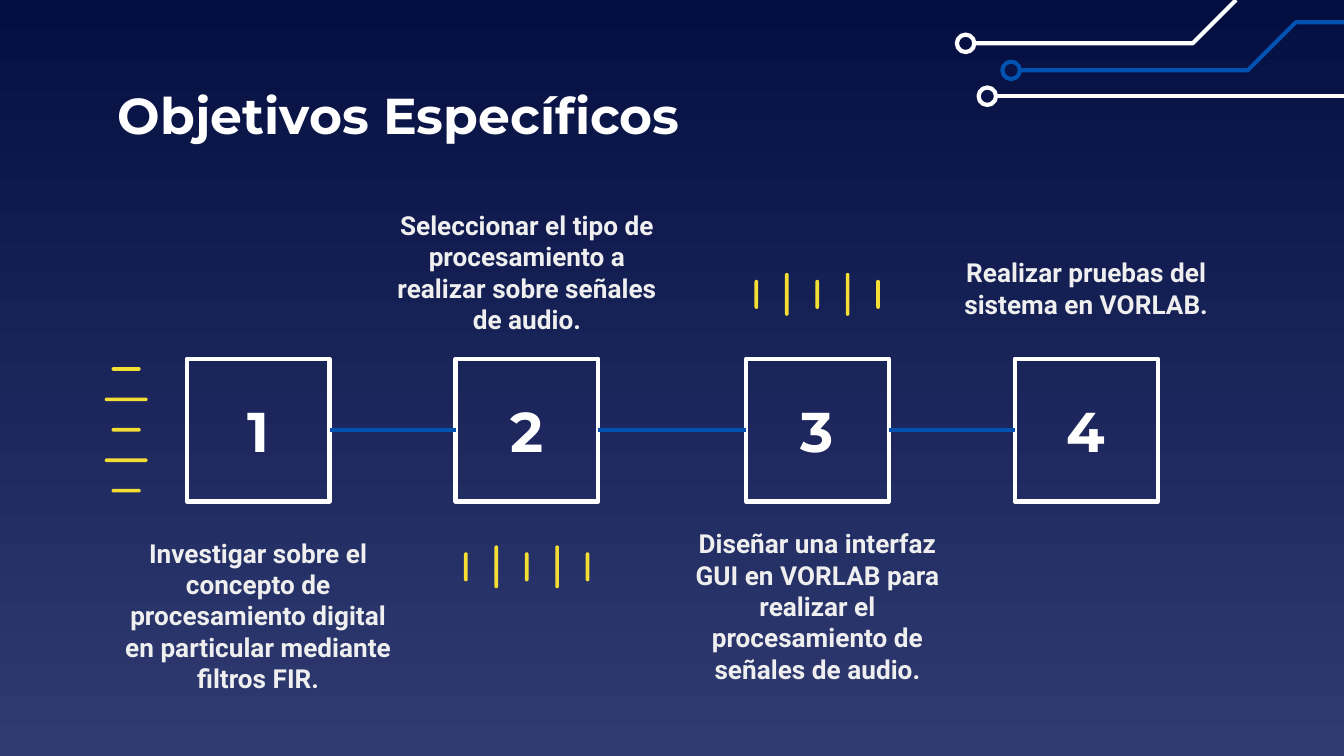
from dataclasses import dataclass
from itertools import pairwise

from lxml.etree import SubElement
from pptx import Presentation
from pptx.dml.color import RGBColor
from pptx.enum.shapes import MSO_CONNECTOR as Connector, MSO_SHAPE as Shape
from pptx.enum.text import MSO_ANCHOR as Anchor, MSO_AUTO_SIZE as AutoSize, PP_ALIGN as Align
from pptx.oxml.ns import qn
from pptx.util import Cm, Pt


@dataclass(frozen=True)
class Theme:
    sky: RGBColor = RGBColor.from_string("040E41")
    ground: RGBColor = RGBColor.from_string("303B72")
    white: RGBColor = RGBColor.from_string("FFFFFF")
    blue: RGBColor = RGBColor.from_string("0152B1")
    yellow: RGBColor = RGBColor.from_string("F5DE34")
    caption: RGBColor = RGBColor.from_string("EFEFEF")
    heading_font: str = "Montserrat"
    body_font: str = "Roboto"
    title_size: Pt = Pt(27)
    number_size: Pt = Pt(30)
    caption_size: Pt = Pt(14)
    stroke: Pt = Pt(2.25)


THEME = Theme()
BOX_SIDE, BOX_TOP = 2.7, 6.78
CAPTION_WIDTH = 5.56

# Box left, caption top, caption height, caption
STEPS = [
    (3.53, 9.68, 3.91, "Investigar sobre el concepto de procesamiento digital "
                       "en particular mediante filtros FIR."),
    (8.61, 4.04, 2.21, "Seleccionar el tipo de procesamiento a realizar sobre "
                       "señales de audio."),
    (14.1, 10.11, 2.69, "Diseñar una interfaz GUI en VORLAB para realizar el "
                        "procesamiento de señales de audio."),
    (19.18, 4.67, 1.55, "Realizar pruebas del sistema en VORLAB."),
]
TICK_BOXES = [(1.98, 6.94, 0.81, 2.37), (8.77, 10.31, 2.37, 0.81), (14.26, 5.16, 2.37, 0.81)]

# Colour, node centre and the bends after it, from the corner of the region
TRACES = [
    (THEME.white, (0.17, 0.82), [(4.46, 0.82), (5.28, 0)]),
    (THEME.blue, (1.03, 1.33), [(5.5, 1.33), (6.41, 0.42), (7.32, 0.42)]),
    (THEME.white, (0.58, 1.82), [(7.32, 1.82)]),
]


def write(shape, text, font, size, color, align):
    frame = shape.text_frame
    frame.text = text
    frame.word_wrap = True
    frame.auto_size = AutoSize.NONE
    frame.vertical_anchor = Anchor.MIDDLE
    frame.margin_left = frame.margin_right = Cm(0.25)
    frame.margin_top = frame.margin_bottom = Cm(0.25)
    paragraph = frame.paragraphs[0]
    paragraph.alignment = align
    run_font = paragraph.runs[0].font
    run_font.name, run_font.size, run_font.bold = font, size, True
    run_font.color.rgb = color


def outline(shape, color):
    """Leave the shape hollow, with a plain line around it."""
    shape.shadow.inherit = False
    shape.fill.background()
    shape.line.color.rgb = color
    shape.line.width = THEME.stroke


def add_wire(slide, start, end, color):
    wire = slide.shapes.add_connector(Connector.STRAIGHT, *map(Cm, (*start, *end)))
    wire.line.color.rgb = color
    wire.line.width = THEME.stroke
    SubElement(wire._element.spPr, qn("a:effectLst"))
    return wire


def paint_background(slide):
    fill = slide.background.fill
    fill.gradient()
    fill.gradient_angle = 270
    for stop, color in zip(fill.gradient_stops, (THEME.sky, THEME.ground)):
        stop.color.rgb = color


def place_title(slide, text, left, top, width, height):
    title = slide.shapes.title
    title.left, title.top, title.width, title.height = map(Cm, (left, top, width, height))
    write(title, text, THEME.heading_font, THEME.title_size, THEME.white, Align.LEFT)


def add_circuit(slide, left, top):
    """Draw the traces, each starting at a ring, from the given corner."""
    ring_side = 0.33
    for color, (node_x, node_y), bends in TRACES:
        x, y = left + node_x, top + node_y
        start = (x + ring_side / 2, y)
        points = [(left + dx, top + dy) for dx, dy in bends]
        if len(points) == 1:
            add_wire(slide, start, points[0], color)
        else:
            builder = slide.shapes.build_freeform(*map(Cm, start))
            builder.add_line_segments([(Cm(px), Cm(py)) for px, py in points], close=False)
            outline(builder.convert_to_shape(), color)
        ring = slide.shapes.add_shape(
            Shape.OVAL, Cm(x - ring_side / 2), Cm(y - ring_side / 2), Cm(ring_side), Cm(ring_side))
        outline(ring, color)


def add_ticks(slide, left, top, width, height):
    """Spread five ticks, short and long in turn, along the longer side of the box."""
    count, thickness, short = 5, 0.07, 0.55
    upright = width > height
    span, long = max(width, height), min(width, height)
    step = (span - thickness) / (count - 1)
    for index in range(count):
        length = long if index % 2 else short
        along, across = index * step, (long - length) / 2
        if upright:
            box = (left + along, top + across, thickness, length)
        else:
            box = (left + across, top + along, length, thickness)
        tick = slide.shapes.add_shape(Shape.ROUNDED_RECTANGLE, *map(Cm, box))
        tick.adjustments[0] = 0.5
        tick.shadow.inherit = False
        tick.fill.solid()
        tick.fill.fore_color.rgb = THEME.yellow
        tick.line.fill.background()


def add_step(slide, number, left, caption_top, caption_height, text):
    """Place a numbered box and its caption centred on it; return the box."""
    box = slide.shapes.add_shape(
        Shape.RECTANGLE, Cm(left), Cm(BOX_TOP), Cm(BOX_SIDE), Cm(BOX_SIDE))
    outline(box, THEME.white)
    write(box, str(number), THEME.heading_font, THEME.number_size, THEME.white, Align.CENTER)
    caption = slide.shapes.add_textbox(
        Cm(left + (BOX_SIDE - CAPTION_WIDTH) / 2), Cm(caption_top),
        Cm(CAPTION_WIDTH), Cm(caption_height))
    write(caption, text, THEME.body_font, THEME.caption_size, THEME.caption, Align.CENTER)
    return box


def add_timeline(slide):
    boxes = [add_step(slide, number, *step) for number, step in enumerate(STEPS, 1)]
    for before, after in pairwise(boxes):
        wire = add_wire(slide, (0, 0), (1, 1), THEME.blue)
        wire.begin_connect(before, 3)
        wire.end_connect(after, 1)


def main():
    deck = Presentation()
    deck.slide_width, deck.slide_height = Cm(25.4), Cm(14.29)
    slide = deck.slides.add_slide(deck.slide_layouts[5])
    paint_background(slide)
    add_circuit(slide, 18.08, 0)
    place_title(slide, "Objetivos Específicos", 1.98, 1.5, 11.53, 1.32)
    add_timeline(slide)
    for box in TICK_BOXES:
        add_ticks(slide, *box)
    deck.save("out.pptx")


if __name__ == "__main__":
    main()
